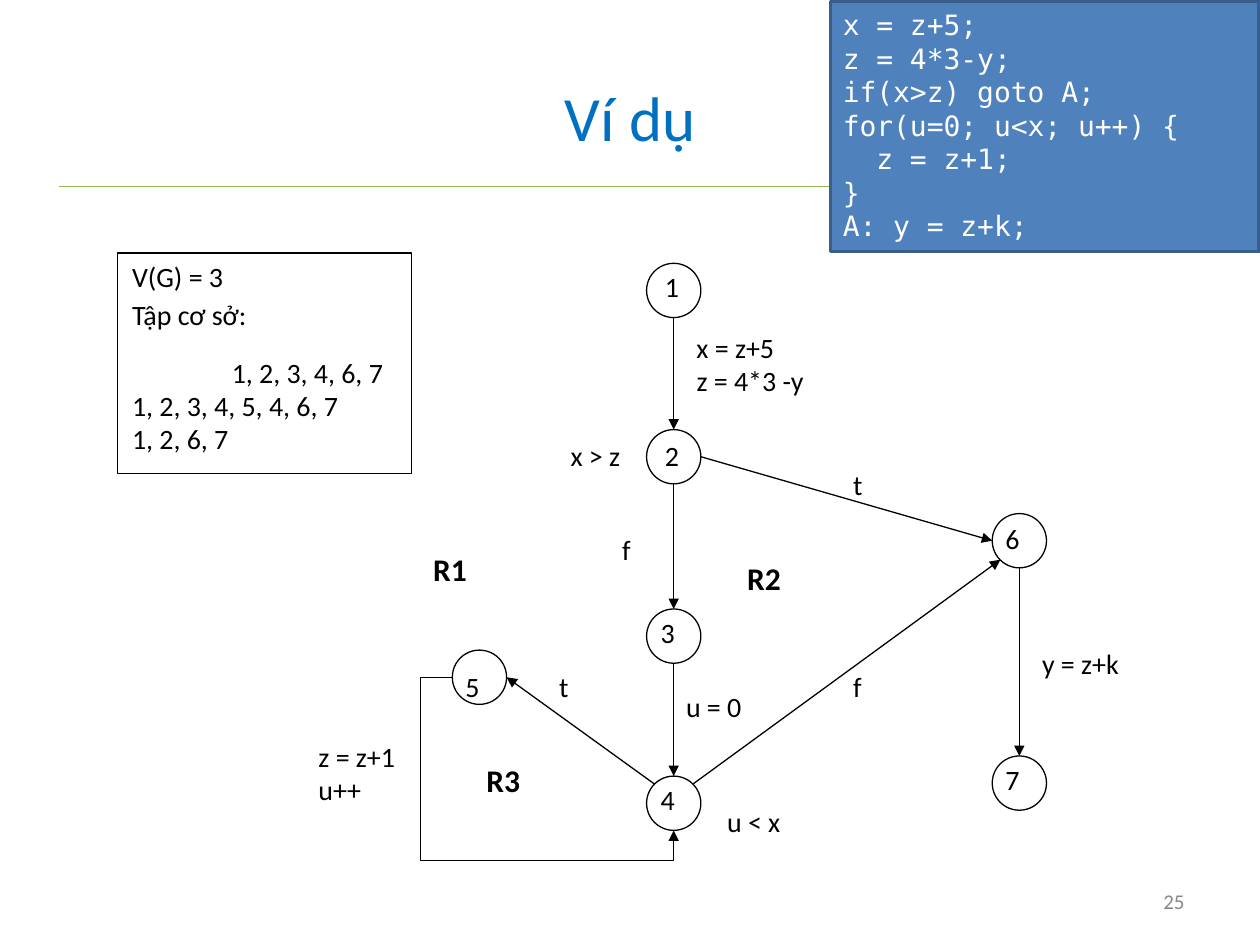
from lxml import etree
from pptx import Presentation
from pptx.dml.color import RGBColor
from pptx.enum.shapes import MSO_CONNECTOR, MSO_SHAPE
from pptx.enum.text import MSO_ANCHOR, PP_ALIGN
from pptx.oxml.ns import qn
from pptx.util import Pt

STRAIGHT = MSO_CONNECTOR.STRAIGHT
OVAL, RECTANGLE = MSO_SHAPE.OVAL, MSO_SHAPE.RECTANGLE
TOP, MIDDLE = MSO_ANCHOR.TOP, MSO_ANCHOR.MIDDLE
LEFT, CENTER, RIGHT = PP_ALIGN.LEFT, PP_ALIGN.CENTER, PP_ALIGN.RIGHT

color = RGBColor.from_string
BLACK, WHITE = "000000", "FFFFFF"
NODE = 31
LINE_STEP = 19

BODY = {"name": "Calibri", "size": Pt(16), "bold": False}
REGION = {**BODY, "size": Pt(18), "bold": True}
TITLE = {**BODY, "size": Pt(36)}
PAGE = {**BODY, "size": Pt(12)}
CODE = {**BODY, "name": "DejaVu Sans Mono"}
TIGHT = {"margin_left": 0, "margin_right": 0, "margin_top": 0, "margin_bottom": 0,
         "word_wrap": False, "vertical_anchor": TOP}
PADDED = {"margin_left": Pt(7.2), "margin_right": Pt(7.2), "margin_top": Pt(3.6),
          "margin_bottom": Pt(3.6), "word_wrap": True, "vertical_anchor": MIDDLE}


def write(shape, lines, font=BODY, frame=TIGHT, ink=BLACK, align=LEFT):
    text_frame = shape.text_frame
    for name, value in frame.items():
        setattr(text_frame, name, value)
    for index, line in enumerate(lines):
        paragraph = text_frame.add_paragraph() if index else text_frame.paragraphs[0]
        paragraph.alignment = align
        run = paragraph.add_run()
        run.text = line
        for name, value in font.items():
            setattr(run.font, name, value)
        run.font.color.rgb = color(ink)


def stroke(shape, ink=BLACK, width=0.75, arrow=False):
    shape.line.color.rgb = color(ink)
    shape.line.width = Pt(width)
    properties = shape._element.spPr
    if arrow:
        etree.SubElement(properties.find(qn("a:ln")), qn("a:tailEnd"),
                         type="triangle", w="med", len="med")
    etree.SubElement(properties, qn("a:effectLst"))


prs = Presentation()
prs.slide_width, prs.slide_height = Pt(720), Pt(540)
shapes = prs.slides.add_slide(prs.slide_layouts[6]).shapes

title_rule = shapes.add_connector(STRAIGHT, Pt(34), Pt(106.5), Pt(680.5), Pt(106.5))
stroke(title_rule, "97B853")
title = shapes.add_textbox(Pt(36), Pt(21.6), Pt(648), Pt(90))
write(title, ["Ví dụ"], TITLE, PADDED, "0070C0", CENTER)
page_number = shapes.add_textbox(Pt(516), Pt(500.5), Pt(168), Pt(28.75))
write(page_number, ["25"], PAGE, PADDED, "888888", RIGHT)

nodes = {
    "1": (369.5, 150.5, 10.5, 3.5),
    "2": (369.5, 245.5, 10.5, 5),
    "3": (369.5, 348, 8, 4),
    "4": (369.5, 443.5, 8, 3.5),
    "5": (258.5, 371.5, 7.5, 11),
    "6": (567, 293.5, 7.5, 4.5),
    "7": (567, 432, 7.5, 3.5),
}
sites = {"top": (0.5, 0), "bottom": (0.5, 1), "left": (0, 0.5), "right": (1, 0.5),
         "top left": (0.15, 0.15), "top right": (0.85, 0.15), "bottom left": (0.15, 0.85)}
ports = {}
for number, (x, y, dx, dy) in nodes.items():
    node = shapes.add_shape(OVAL, Pt(x), Pt(y), Pt(NODE), Pt(NODE))
    node.fill.solid()
    node.fill.fore_color.rgb = color(WHITE)
    stroke(node)
    write(shapes.add_textbox(Pt(x + dx), Pt(y + dy), Pt(8), Pt(19.5)), [number])
    for site, (across, down) in sites.items():
        ports[number, site] = Pt(x + across * NODE), Pt(y + down * NODE)

edges = [
    ("1", "bottom", "2", "top"),
    ("2", "bottom", "3", "top"),
    ("3", "bottom", "4", "top"),
    ("4", "top left", "5", "right"),
    ("2", "right", "6", "left"),
    ("4", "top right", "6", "bottom left"),
    ("6", "bottom", "7", "top"),
]
for source, exit_site, target, entry_site in edges:
    edge = shapes.add_connector(STRAIGHT, *ports[source, exit_site], *ports[target, entry_site])
    stroke(edge, arrow=True)

loop_start, loop_end = ports["5", "left"], ports["4", "bottom"]
loop_left, loop_bottom = Pt(240.5), Pt(491.5)
loop_path = shapes.build_freeform(*loop_start)
loop_path.add_line_segments([(loop_left, loop_start[1]), (loop_left, loop_bottom),
                             (loop_end[0], loop_bottom), loop_end], close=False)
loop_back = loop_path.convert_to_shape()
loop_back.fill.background()
stroke(loop_back, arrow=True)

basis_frame = shapes.add_shape(RECTANGLE, Pt(67), Pt(144.5), Pt(168), Pt(126))
basis_frame.fill.background()
stroke(basis_frame)

labels = [
    (398, 189, 45, "x = z+5"),
    (398, 189 + LINE_STEP, 62, "z = 4*3 -y"),
    (326, 250.5, 29, "x > z"),
    (182, 422.5, 45, "z = z+1"),
    (182, 422.5 + LINE_STEP, 25, "u++"),
    (595.5, 369.5, 45, "y = z+k"),
    (392, 394, 32, "u = 0"),
    (355.5, 304.5, 5, "f"),
    (487.5, 382.5, 5, "f"),
    (319.5, 382.5, 5, "t"),
    (487.5, 267, 5, "t"),
    (415.5, 459.5, 31, "u < x"),
    (75.5, 148.5, 54, "V(G) = 3"),
    (75.5, 170, 66, "Tập cơ sở:"),
    (132.5, 203, 88, "1, 2, 3, 4, 6, 7"),
    (75.5, 203 + LINE_STEP, 119, "1, 2, 3, 4, 5, 4, 6, 7"),
    (75.5, 203 + 2 * LINE_STEP, 56, "1, 2, 6, 7"),
]
for x, y, width, label in labels:
    write(shapes.add_textbox(Pt(x), Pt(y), Pt(width), Pt(19.5)), [label])

for x, y, region in [(247.5, 314.5, "R1"), (427, 319.5, "R2"), (278, 435, "R3")]:
    write(shapes.add_textbox(Pt(x), Pt(y), Pt(19.5), Pt(22)), [region], REGION)

code_lines = ["x = z+5;", "z = 4*3-y;", "if(x>z) goto A;", "for(u=0; u<x; u++) {",
              "  z = z+1;", "}", "A: y = z+k;"]
code_box = shapes.add_shape(RECTANGLE, Pt(474.5), Pt(0.75), Pt(245), Pt(143))
code_box.fill.solid()
code_box.fill.fore_color.rgb = color("4F81BD")
stroke(code_box, "395E89", 2)
write(code_box, code_lines, CODE, {**PADDED, "vertical_anchor": TOP}, WHITE)

prs.save("out.pptx")
